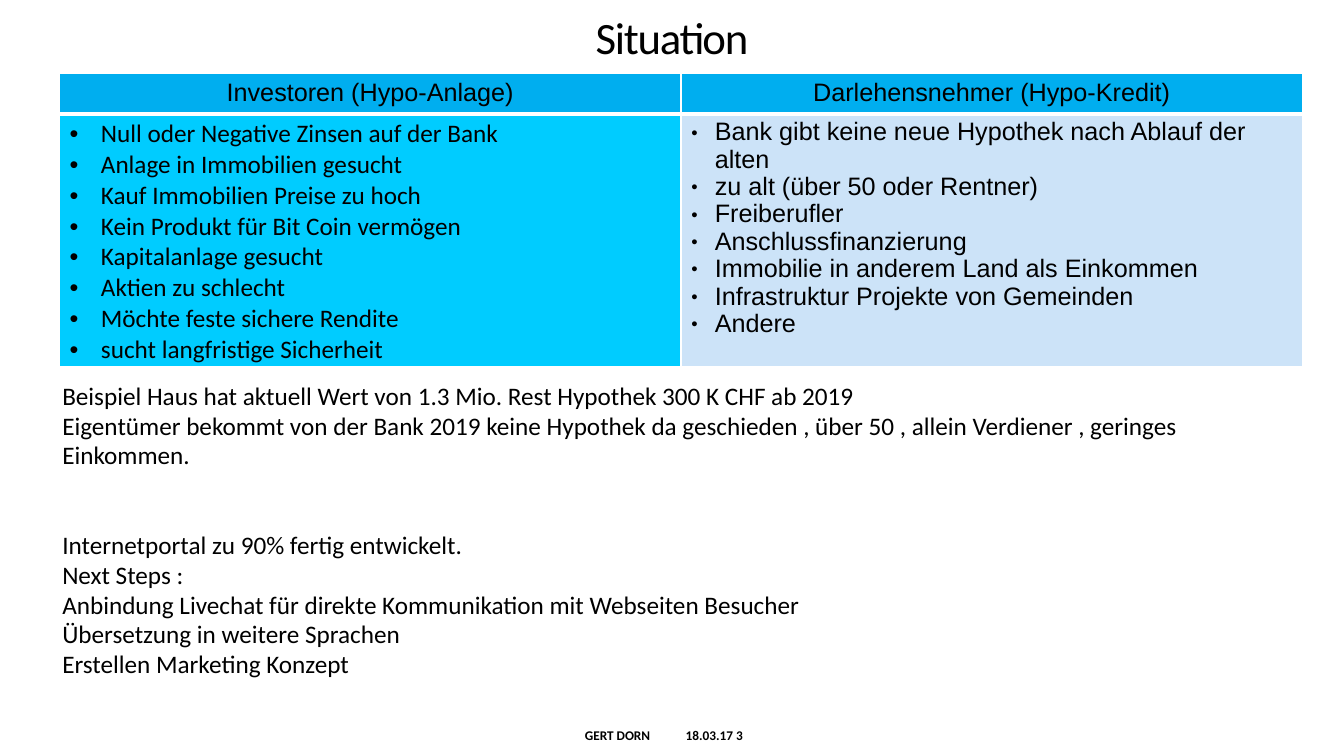
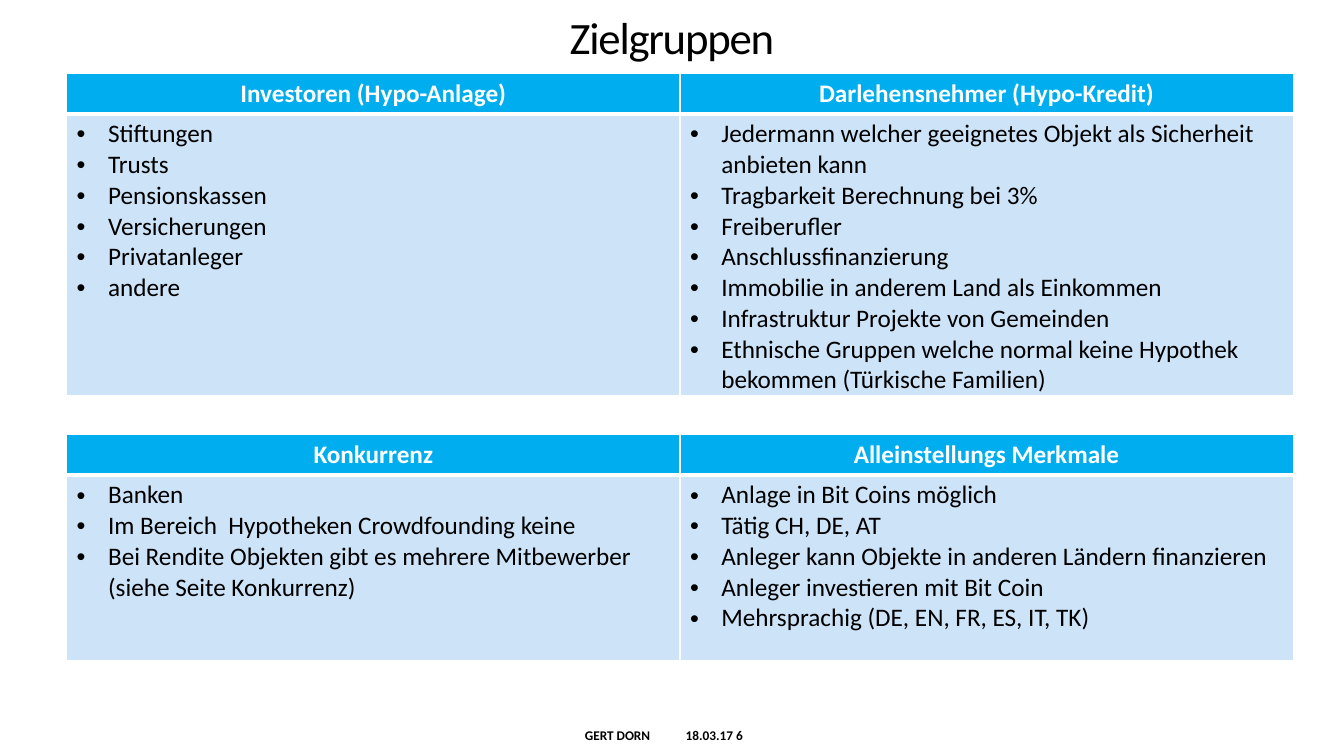
from lxml.etree import SubElement
from pptx import Presentation
from pptx.dml.color import RGBColor
from pptx.enum.text import MSO_ANCHOR, PP_ALIGN
from pptx.oxml import parse_xml
from pptx.oxml.ns import nsdecls, qn
from pptx.util import Cm, Pt

BLACK, WHITE = "000000", "FFFFFF"
BLUE, CYAN, PALE = "00AEEF", "00CCFF", "CCE3F8"
DISC = dict(char="•", indent=0.79, scale=100)
DOT = dict(char="●", indent=0.6, scale=45)


def rgb(value):
    """Turn a hex string into a colour."""
    return RGBColor.from_string(value)


class Deck:
    """Holds the shared style and the current slide."""

    def __init__(self):
        """Open a widescreen presentation."""
        self.prs = Presentation()
        self.prs.slide_width, self.prs.slide_height = Cm(33.87), Cm(19.05)
        self.s = None

    def slide(self, title, number):
        """Add a slide with its title and footer."""
        self.s = self.prs.slides.add_slide(self.prs.slide_layouts[5])
        sp = self.s.shapes.title
        sp.left, sp.top, sp.width, sp.height = Cm(0), Cm(0.03), Cm(33.87), Cm(1.7)
        tf = sp.text_frame
        tf.vertical_anchor = MSO_ANCHOR.BOTTOM
        r = self.add_text(tf.paragraphs[0], title, 32, align=PP_ALIGN.CENTER)
        r._r.get_or_add_rPr().set("spc", "-90")
        tf = self.box(0.84, 18.21, 31.78, 0.61)
        tf.vertical_anchor = MSO_ANCHOR.MIDDLE
        self.add_text(tf.paragraphs[0], f"GERT DORN\t18.03.17\t{number}", 9.5,
                      bold=True, align=PP_ALIGN.CENTER)

    def box(self, x, y, w, h):
        """Add a wrapping text box and return its text frame."""
        tf = self.s.shapes.add_textbox(Cm(x), Cm(y), Cm(w), Cm(h)).text_frame
        tf.word_wrap = True
        return tf

    def add_text(self, p, text, size=18, font="Calibri", color=BLACK, bold=False,
                 align=PP_ALIGN.LEFT):
        """Add one formatted run to a paragraph."""
        p.alignment = align
        r = p.add_run()
        r.text = text
        r.font.size, r.font.name, r.font.bold = Pt(size), font, bold
        r.font.color.rgb = rgb(color)
        return r

    def paragraphs(self, tf, lines):
        """Yield one paragraph for each line of text."""
        for i, line in enumerate(lines):
            yield (tf.add_paragraph() if i else tf.paragraphs[0]), line

    def text(self, x, y, w, h, *blocks):
        """Add a text box whose blocks are set apart by spacing."""
        tf = self.box(x, y, w, h)
        firsts = [block[0] for block in blocks[1:]]
        lines = [line for block in blocks for line in block]
        for p, line in self.paragraphs(tf, lines):
            p.line_spacing = 0.98
            if line in firsts:
                p.space_before = Pt(43)
            self.add_text(p, line)

    def bullet(self, p, char, indent, scale):
        """Give a paragraph a hanging bullet."""
        pPr = p._p.get_or_add_pPr()
        pPr.set("marL", str(Cm(indent)))
        pPr.set("indent", str(-Cm(indent)))
        SubElement(SubElement(pPr, qn("a:buClr")), qn("a:srgbClr"), val=BLACK)
        SubElement(pPr, qn("a:buSzPct"), val=str(scale * 1000))
        SubElement(pPr, qn("a:buFont"), typeface="Arial")
        SubElement(pPr, qn("a:buChar"), char=char)

    def cell(self, cell, fill, heavy):
        """Fill a cell and draw white borders, one of them heavy."""
        cell.fill.solid()
        cell.fill.fore_color.rgb = rgb(fill)
        tcPr = cell._tc.get_or_add_tcPr()
        for i, side in enumerate("LRTB"):
            width = Pt(3 if side == heavy else 0.96)
            tcPr.insert(i, parse_xml(
                f'<a:ln{side} {nsdecls("a")} w="{width}"><a:solidFill>'
                f'<a:srgbClr val="{WHITE}"/></a:solidFill></a:ln{side}>'))

    def table(self, x, y, w, h, columns, head):
        """Add a table of headed bullet lists."""
        tbl = self.s.shapes.add_table(2, len(columns), Cm(x), Cm(y), Cm(w), Cm(h + 1)).table
        tbl.horz_banding = False
        tbl.rows[0].height, tbl.rows[1].height = Cm(1), Cm(h)
        for i, (title, lines, fill, font, mark) in enumerate(columns):
            tbl.columns[i].width = Cm(w / len(columns))
            top, body = tbl.cell(0, i), tbl.cell(1, i)
            self.cell(top, BLUE, "B")
            self.cell(body, fill, "T")
            self.add_text(top.text_frame.paragraphs[0], title, align=PP_ALIGN.CENTER, **head)
            for p, line in self.paragraphs(body.text_frame, lines):
                if font == "Arial":
                    p.line_spacing = 0.97
                self.add_text(p, line, font=font)
                self.bullet(p, **mark)


def main():
    """Build and save the deck."""
    deck = Deck()
    investors, borrowers = "Investoren (Hypo-Anlage)", "Darlehensnehmer (Hypo-Kredit)"
    shared = ["Freiberufler", "Anschlussfinanzierung",
              "Immobilie in anderem Land als Einkommen",
              "Infrastruktur Projekte von Gemeinden"]

    deck.slide("Situation", 3)
    deck.table(1.5, 1.85, 31.32, 6.38, [
        (investors, [
            "Null oder Negative Zinsen auf der Bank",
            "Anlage in Immobilien gesucht",
            "Kauf Immobilien Preise zu hoch",
            "Kein Produkt für Bit Coin vermögen",
            "Kapitalanlage gesucht",
            "Aktien zu schlecht",
            "Möchte feste sichere Rendite",
            "sucht langfristige Sicherheit"], CYAN, "Calibri", DISC),
        (borrowers, [
            "Bank gibt keine neue Hypothek nach Ablauf der alten",
            "zu alt (über 50 oder Rentner)", *shared, "Andere"], PALE, "Arial", DOT),
    ], dict(font="Arial"))
    deck.text(1.32, 9.5, 31.32, 8.1, [
        "Beispiel Haus hat aktuell Wert von 1.3 Mio. Rest Hypothek 300 K CHF ab 2019",
        "Eigentümer bekommt von der Bank 2019 keine Hypothek da geschieden , über 50 , "
        "allein Verdiener , geringes Einkommen."], [
        "Internetportal zu 90% fertig entwickelt.",
        "Next Steps :",
        "Anbindung Livechat für direkte Kommunikation mit Webseiten Besucher",
        "Übersetzung in weitere Sprachen",
        "Erstellen Marketing Konzept"])

    deck.slide("Zielgruppen", 6)
    head = dict(color=WHITE, bold=True)
    style = (PALE, "Calibri", DISC)
    deck.table(1.68, 1.85, 30.91, 6.88, [
        (investors, ["Stiftungen", "Trusts", "Pensionskassen", "Versicherungen",
                     "Privatanleger", "andere"], *style),
        (borrowers, [
            "Jedermann welcher geeignetes Objekt als Sicherheit anbieten kann",
            "Tragbarkeit Berechnung bei 3%", *shared,
            "Ethnische Gruppen welche normal keine Hypothek bekommen (Türkische Familien)",
        ], *style),
    ], head)
    deck.table(1.68, 10.95, 30.91, 4.67, [
        ("Konkurrenz", [
            "Banken",
            "Im Bereich  Hypotheken Crowdfounding keine",
            "Bei Rendite Objekten gibt es mehrere Mitbewerber (siehe Seite Konkurrenz)",
        ], *style),
        ("Alleinstellungs Merkmale", [
            "Anlage in Bit Coins möglich",
            "Tätig CH, DE, AT",
            "Anleger kann Objekte in anderen Ländern finanzieren",
            "Anleger investieren mit Bit Coin",
            "Mehrsprachig (DE, EN, FR, ES, IT, TK)"], *style),
    ], head)
    deck.prs.save("out.pptx")


if __name__ == "__main__":
    main()
